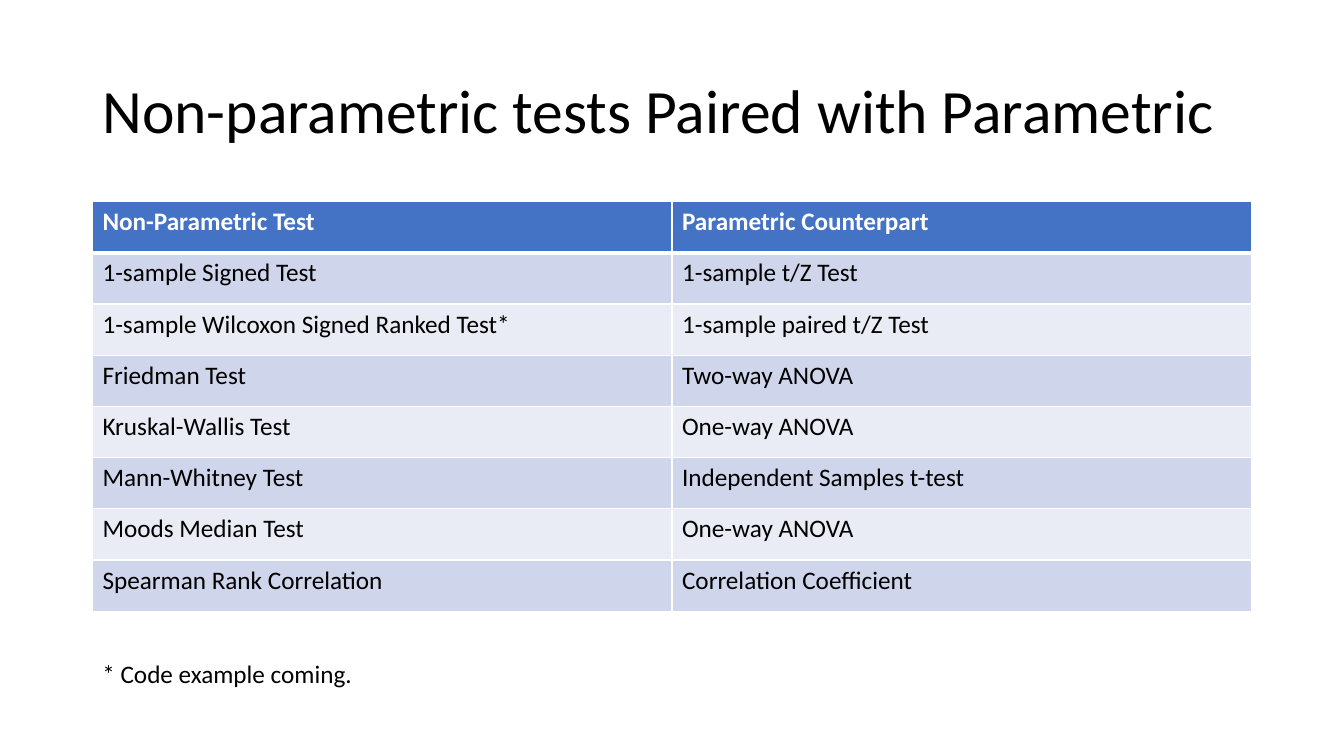
"""Build a slide pairing non-parametric tests with parametric counterparts."""
from lxml.etree import SubElement
from pptx import Presentation
from pptx.dml.color import RGBColor
from pptx.enum.text import MSO_ANCHOR as Anchor, MSO_AUTO_SIZE as AutoSize
from pptx.oxml.ns import qn
from pptx.util import Cm, Pt

BLACK = RGBColor(0x00, 0x00, 0x00)
WHITE = RGBColor(0xFF, 0xFF, 0xFF)
HEADER_BLUE = RGBColor(0x44, 0x72, 0xC4)
BAND_DARK = RGBColor(0xCF, 0xD5, 0xEA)
BAND_LIGHT = RGBColor(0xE9, 0xEB, 0xF5)
FONT = "Calibri"
LEFT = Cm(2.33)
WIDTH = Cm(29.21)
ROW_HEIGHT = Cm(1.29)

TEST_PAIRS = [
    ("Non-Parametric Test", "Parametric Counterpart"),
    ("1-sample Signed Test", "1-sample t/Z Test"),
    ("1-sample Wilcoxon Signed Ranked Test*", "1-sample paired t/Z Test"),
    ("Friedman Test", "Two-way ANOVA"),
    ("Kruskal-Wallis Test", "One-way ANOVA"),
    ("Mann-Whitney Test", "Independent Samples t-test"),
    ("Moods Median Test", "One-way ANOVA"),
    ("Spearman Rank Correlation", "Correlation Coefficient"),
]


def format_text(text_frame, size, color=BLACK, bold=False):
    """Apply the slide font to every run of a text frame."""
    for paragraph in text_frame.paragraphs:
        for run in paragraph.runs:
            run.font.name = FONT
            run.font.size = Pt(size)
            run.font.bold = bold
            run.font.color.rgb = color


def add_text(slide, text, top, width, height, size):
    """Add a text box at the left margin and return its text frame."""
    text_frame = slide.shapes.add_textbox(LEFT, top, width, height).text_frame
    text_frame.text = text
    format_text(text_frame, size)
    return text_frame


def set_borders(cell, top, bottom):
    """Draw white cell borders with the given top and bottom widths in points."""
    properties = cell._tc.get_or_add_tcPr()
    for side, width in (("lnL", 1), ("lnR", 1), ("lnT", top), ("lnB", bottom)):
        line = SubElement(properties, qn(f"a:{side}"), w=str(Pt(width)))
        fill = SubElement(line, qn("a:solidFill"))
        SubElement(fill, qn("a:srgbClr"), val=str(WHITE))


def fill_cell(cell, text, row):
    """Write and style one table cell according to its row."""
    is_header = row == 0
    set_borders(cell, 3 if row == 1 else 1, 3 if is_header else 1)
    cell.fill.solid()
    band = BAND_DARK if row % 2 else BAND_LIGHT
    cell.fill.fore_color.rgb = HEADER_BLUE if is_header else band
    cell.text_frame.text = text
    format_text(cell.text_frame, 18, WHITE if is_header else BLACK, is_header)


def add_test_table(slide):
    """Add the table of test pairs."""
    row_count = len(TEST_PAIRS)
    table = slide.shapes.add_table(
        row_count, 2, LEFT, Cm(5.08), WIDTH, ROW_HEIGHT * row_count
    ).table
    for row, pair in enumerate(TEST_PAIRS):
        table.rows[row].height = ROW_HEIGHT
        for column, text in enumerate(pair):
            fill_cell(table.cell(row, column), text, row)


def main():
    """Build and save the presentation."""
    presentation = Presentation()
    presentation.slide_width = Cm(33.87)
    presentation.slide_height = Cm(19.05)
    slide = presentation.slides.add_slide(presentation.slide_layouts[6])

    title = add_text(
        slide, "Non-parametric tests Paired with Parametric",
        Cm(1.01), WIDTH, Cm(3.68), 44,
    )
    title.word_wrap = True
    title.vertical_anchor = Anchor.MIDDLE
    title.paragraphs[0].line_spacing = 0.9

    add_test_table(slide)

    footnote = add_text(
        slide, "* Code example coming.", Cm(16.46), Cm(6.88), Cm(1.03), 18
    )
    footnote.word_wrap = False
    footnote.auto_size = AutoSize.SHAPE_TO_FIT_TEXT

    presentation.save("out.pptx")


if __name__ == "__main__":
    main()
